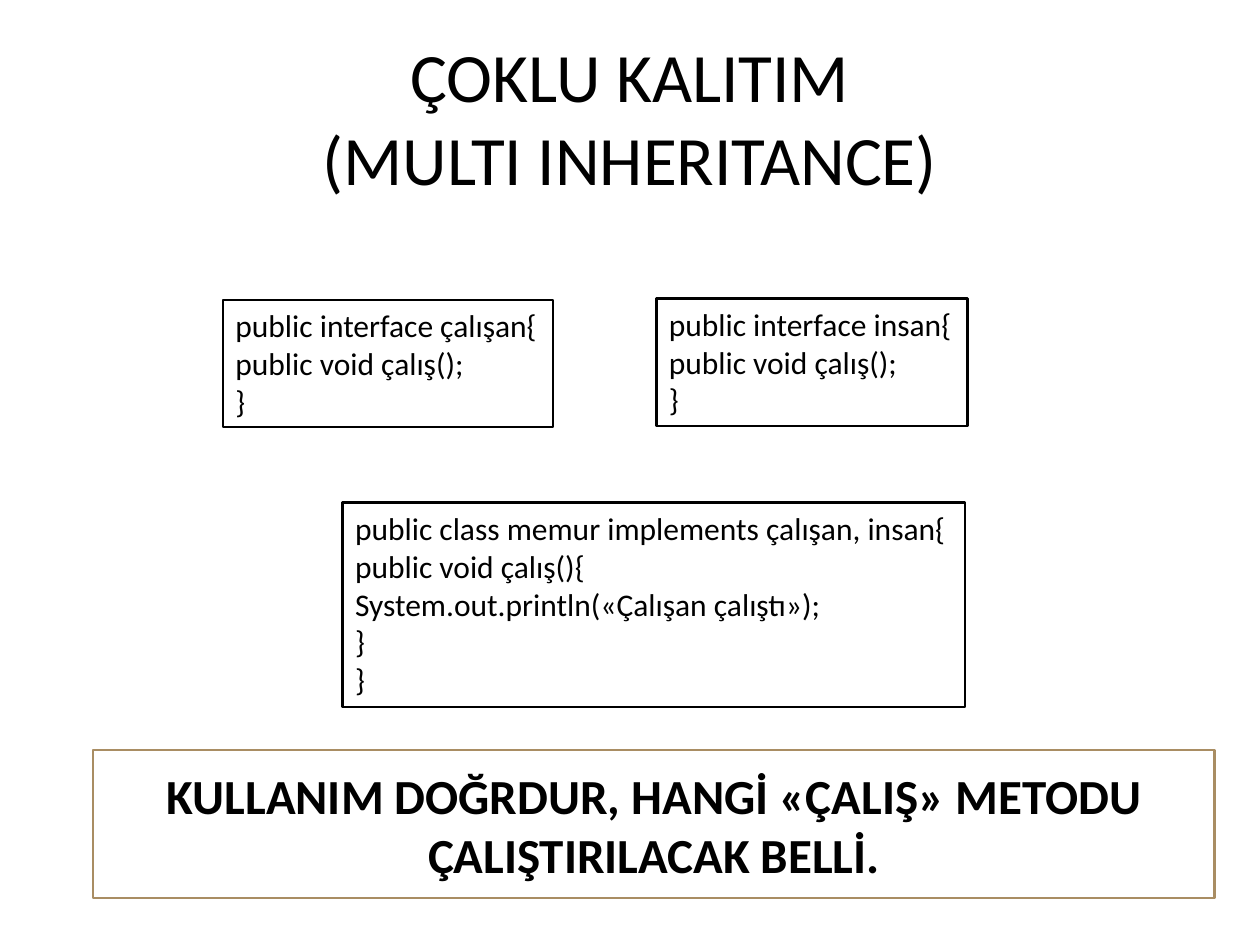
from pptx import Presentation
from pptx import util as u
from pptx.dml.color import RGBColor
from pptx.enum import shapes, text

FONT = "Calibri"
BLACK = "000000"
WHITE = "FFFFFF"
TAN = "A98D63"


def color(value):
    """Turn a hex string into a colour."""
    return RGBColor.from_string(value)


def add_run(p, words, size, bold=False):
    """Add one formatted run to a paragraph."""
    r = p.add_run()
    r.text = words
    r.font.name = FONT
    r.font.size = u.Pt(size)
    r.font.bold = bold
    r.font.color.rgb = color(BLACK)


def place(sp, left, top, width, height):
    """Set the position and size of a shape in inches."""
    sp.left, sp.top = u.Inches(left), u.Inches(top)
    sp.width, sp.height = u.Inches(width), u.Inches(height)


def add_title(s, lines):
    """Fill the title placeholder, with a line break between lines."""
    sp = s.shapes.title
    place(sp, 0.5, 0.3, 9, 1.25)
    tf = sp.text_frame
    tf.vertical_anchor = text.MSO_ANCHOR.MIDDLE
    p = tf.paragraphs[0]
    p.alignment = text.PP_ALIGN.CENTER
    for i, line in enumerate(lines):
        if i:
            p.add_line_break()
        add_run(p, line, 39.6)


def add_box(s, box, line, weight):
    """Add a white outlined rectangle and return its text frame."""
    sp = s.shapes.add_shape(shapes.MSO_SHAPE.RECTANGLE, *map(u.Inches, box))
    sp.shadow.inherit = False
    sp.fill.solid()
    sp.fill.fore_color.rgb = color(WHITE)
    sp.line.color.rgb = color(line)
    sp.line.width = u.Pt(weight)
    return sp.text_frame


def add_code(s, box, lines):
    """Add a box with one paragraph per line of code."""
    tf = add_box(s, box, BLACK, 1.5)
    tf.word_wrap = False
    tf.auto_size = text.MSO_AUTO_SIZE.SHAPE_TO_FIT_TEXT
    tf.vertical_anchor = text.MSO_ANCHOR.TOP
    for i, line in enumerate(lines):
        p = tf.add_paragraph() if i else tf.paragraphs[0]
        p.alignment = text.PP_ALIGN.LEFT
        add_run(p, line, 18)


def add_conclusion(s, box, words):
    """Add the centred bold statement."""
    tf = add_box(s, box, TAN, 1.25)
    tf.word_wrap = True
    tf.vertical_anchor = text.MSO_ANCHOR.MIDDLE
    p = tf.paragraphs[0]
    p.alignment = text.PP_ALIGN.CENTER
    add_run(p, words, 28, bold=True)


def main():
    """Build the slide and save it."""
    prs = Presentation()
    prs.slide_width, prs.slide_height = u.Inches(10), u.Inches(7.5)
    s = prs.slides.add_slide(prs.slide_layouts[5])
    add_title(s, ["ÇOKLU KALITIM", "(MULTI INHERITANCE)"])
    add_conclusion(s, (0.74, 5.95, 8.9, 1.18),
                   "KULLANIM DOĞRDUR, HANGİ «ÇALIŞ» METODU ÇALIŞTIRILACAK BELLİ.")
    add_code(s, (1.77, 2.38, 2.62, 1.01),
             ["public interface çalışan{", "public void çalış();", "}"])
    add_code(s, (2.72, 3.99, 4.94, 1.62),
             ["public class memur implements çalışan, insan{",
              "public void çalış(){",
              "System.out.println(«Çalışan çalıştı»);", "}", "}"])
    add_code(s, (5.21, 2.37, 2.47, 1.01),
             ["public interface insan{", "public void çalış();", "}"])
    prs.save("out.pptx")


if __name__ == "__main__":
    main()
